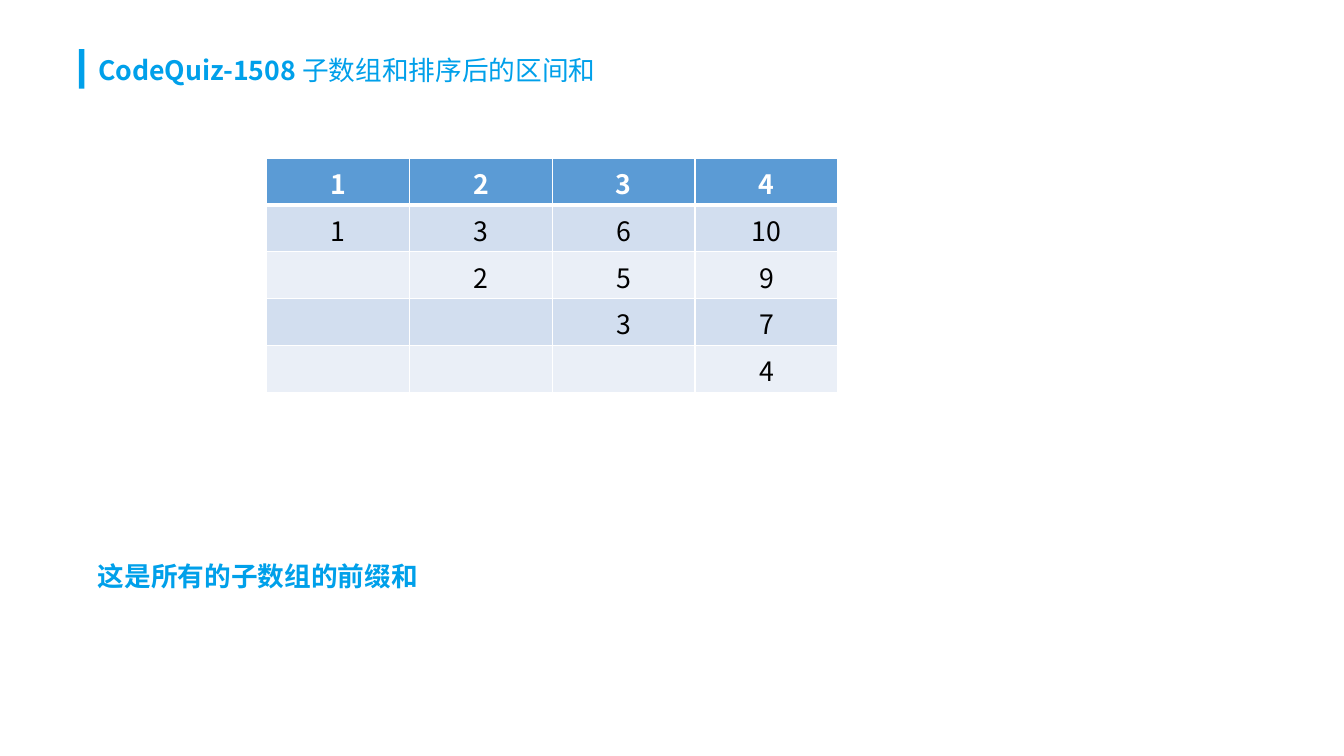
from lxml.etree import SubElement
from pptx import Presentation
from pptx.dml.color import RGBColor
from pptx.enum.shapes import MSO_SHAPE as Shape
from pptx.enum.text import MSO_ANCHOR as Anchor, MSO_AUTO_SIZE as AutoSize, PP_ALIGN as Align
from pptx.oxml.ns import qn
from pptx.util import Cm, Pt

BLUE, WHITE, BLACK = "00A0EA", "FFFFFF", "000000"
HEADER_FILL, BANDS = "5B9BD5", ("D2DEEF", "EAEFF7")
TEXT_FONT, TABLE_FONT = "Noto Sans CJK JP", "Noto Sans CJK SC"
PREFIX_SUMS = [
    ["1", "2", "3", "4"],
    ["1", "3", "6", "10"],
    ["", "2", "5", "9"],
    ["", "", "3", "7"],
    ["", "", "", "4"],
]


def colour(hex_code):
    """Turn a hex string into a colour."""
    return RGBColor.from_string(hex_code)


def style_span(span, font_name, hex_code, bold):
    """Format one run for both Latin and Chinese text."""
    span.font.size = Pt(18)
    span.font.bold = bold
    span.font.color.rgb = colour(hex_code)
    span.font.name = font_name
    SubElement(span.font._element, qn("a:ea"), typeface=font_name)


def write_line(box, parts):
    """Write one left-aligned line from (text, bold) parts."""
    frame = box.text_frame
    frame.word_wrap = True
    frame.auto_size = AutoSize.NONE
    frame.vertical_anchor = Anchor.MIDDLE
    para = frame.paragraphs[0]
    para.alignment = Align.LEFT
    for text, bold in parts:
        span = para.add_run()
        span.text = text
        style_span(span, TEXT_FONT, BLUE, bold)


def add_heading(page, left, top, width, height):
    """Place the accent bar and the title beside it."""
    bar = page.shapes.add_shape(Shape.RECTANGLE, left, top, Cm(0.13), height)
    bar.shadow.inherit = False
    bar.fill.solid()
    bar.fill.fore_color.rgb = colour(BLUE)
    bar.line.fill.background()
    title = page.shapes.title
    title.left, title.top = left + Cm(0.2), top - Cm(0.02)
    title.width, title.height = width - Cm(0.2), Cm(1.02)
    write_line(title, [("CodeQuiz-1508 ", True), ("子数组和排序后的区间和", False)])


def add_border(cell, side, points):
    """Draw one white edge of a cell."""
    edge = SubElement(cell._tc.get_or_add_tcPr(), qn(f"a:ln{side}"), w=str(Pt(points)))
    fill = SubElement(edge, qn("a:solidFill"))
    SubElement(fill, qn("a:srgbClr"), val=WHITE)


def format_cell(cell, text, row):
    """Fill, border and label a cell according to its row."""
    header = row == 0
    for side in "LRTB":
        thick = (header and side == "B") or (row == 1 and side == "T")
        add_border(cell, side, 3 if thick else 1)
    cell.fill.solid()
    cell.fill.fore_color.rgb = colour(HEADER_FILL if header else BANDS[(row - 1) % 2])
    cell.margin_top, cell.margin_bottom = Cm(0.13), Cm(0.05)
    para = cell.text_frame.paragraphs[0]
    para.alignment = Align.CENTER
    if text:
        para.text = text
        style_span(para.runs[0], TABLE_FONT, WHITE if header else BLACK, header)


def add_sums_table(page, left, top, width, height):
    """Place the table of prefix sums."""
    rows, columns = len(PREFIX_SUMS), len(PREFIX_SUMS[0])
    table = page.shapes.add_table(rows, columns, left, top, width, height).table
    for row, values in enumerate(PREFIX_SUMS):
        for column, text in enumerate(values):
            format_cell(table.cell(row, column), text, row)


def add_caption(page, left, top, width, height):
    """Place the remark below the table."""
    box = page.shapes.add_textbox(left, top, width, height)
    write_line(box, [("这是所有的子数组的前缀和", True)])


def main():
    """Build the slide and save it."""
    deck = Presentation()
    deck.slide_width, deck.slide_height = Cm(32), Cm(18)
    page = deck.slides.add_slide(deck.slide_layouts[5])
    add_heading(page, Cm(1.88), Cm(1.17), Cm(19.48), Cm(0.94))
    add_sums_table(page, Cm(6.35), Cm(3.76), Cm(13.6), Cm(5.58))
    add_caption(page, Cm(2.08), Cm(13.2), Cm(10.7), Cm(1.02))
    deck.save("out.pptx")


if __name__ == "__main__":
    main()
